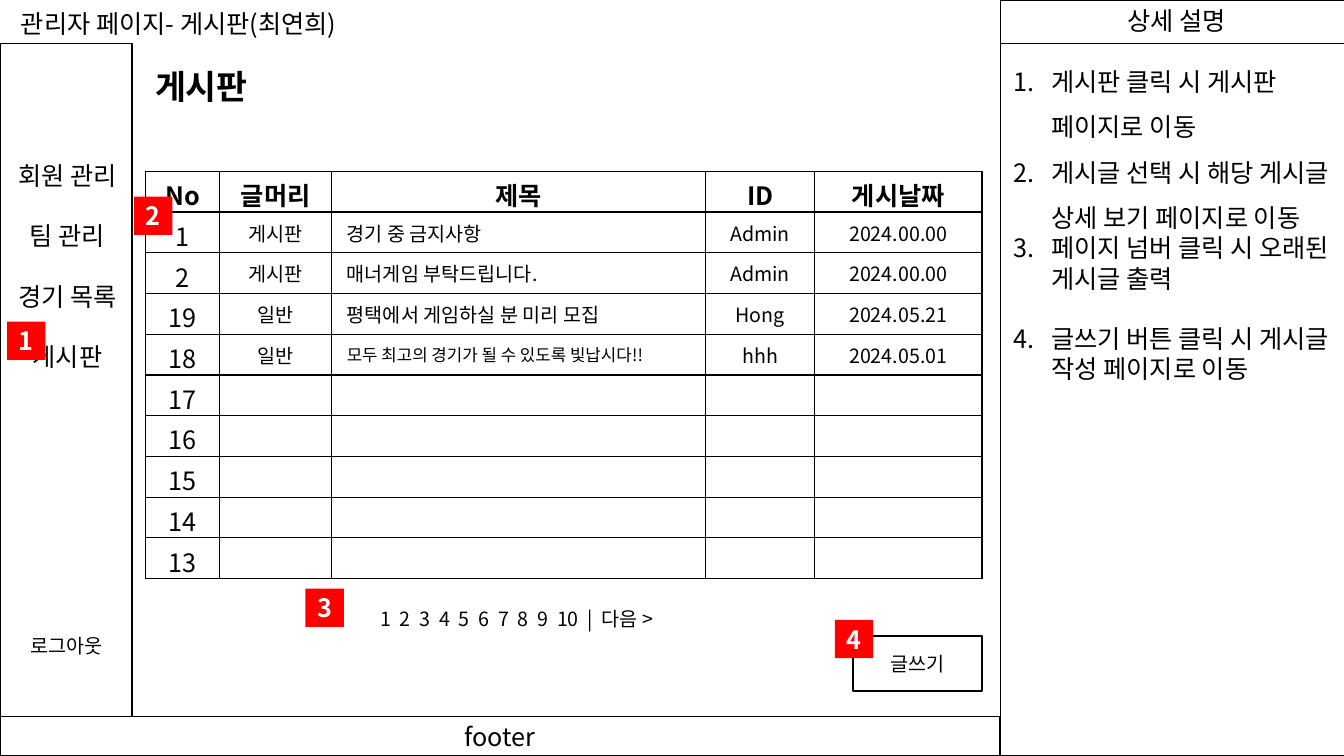
"""Build the wireframe slide of the administrator's bulletin board page."""
from dataclasses import dataclass

import pptx
import pptx.dml.color
import pptx.enum.shapes
import pptx.enum.text
import pptx.oxml.ns
import pptx.util
from lxml import etree

Inches = pptx.util.Inches
Pt = pptx.util.Pt
ALIGN = pptx.enum.text.PP_ALIGN
MIDDLE = pptx.enum.text.MSO_ANCHOR.MIDDLE
FONT = "Noto Sans CJK KR"
BLACK, WHITE, RED = "000000", "FFFFFF", "FF0000"
BADGE_SIZE = 0.38
LINE_GAP = 21.6


@dataclass
class Panel:
    left: float
    top: float
    width: float
    height: float
    text: str = ""
    size: float = 18
    line: float = 1
    fill: str = WHITE
    color: str = BLACK
    bold: bool = False


@dataclass
class Label:
    left: float
    top: float
    width: float
    height: float
    lines: list[str]
    size: float = 18
    bold: bool = False
    align: ALIGN = ALIGN.LEFT
    gap: float = 0


@dataclass
class Note:
    text: str
    spacing: float = 1
    before: float = 0


@dataclass
class Post:
    number: str
    category: str = ""
    title: str = ""
    author: str = ""
    date: str = ""
    title_size: float = 14


FRAMES = [
    Panel(9.92, 0.43, 3.42, 7.07),
    Panel(9.92, 0, 3.42, 0.43),
    Panel(0, 0.43, 1.31, 6.68),
    Panel(0, 7.11, 9.92, 0.39, "footer"),
]
LABELS = [
    Label(11.08, 0, 1.3, 0.4, ["상세 설명"]),
    Label(0.11, 0.03, 4, 0.4, ["관리자 페이지- 게시판(최연희)"]),
    Label(0.2, 6.24, 1.31, 0.34, ["로그아웃"], 14),
    Label(1.44, 0.6, 2.94, 0.5, ["게시판"], 24, True),
    Label(-0.15, 1.54, 1.64, 2.22, ["회원 관리", "팀 관리", "경기 목록", "게시판"],
          align=ALIGN.CENTER, gap=LINE_GAP),
]
NOTES = [
    Note("게시판 클릭 시 게시판 페이지로 이동", 1.5),
    Note("게시글 선택 시 해당 게시글 상세 보기 페이지로 이동", 1.5),
    Note("페이지 넘버 클릭 시 오래된 게시글 출력"),
    Note("글쓰기 버튼 클릭 시 게시글 작성 페이지로 이동", before=LINE_GAP),
]
HEADINGS = ["No", "글머리", "제목", "ID", "게시날짜"]
COLUMN_WIDTHS = [0.74, 1.11, 3.71, 1.08, 1.66]
POSTS = [
    Post("1", "게시판", "경기 중 금지사항", "Admin", "2024.00.00"),
    Post("2", "게시판", "매너게임 부탁드립니다.", "Admin", "2024.00.00"),
    Post("19", "일반", "평택에서 게임하실 분 미리 모집", "Hong", "2024.05.21"),
    Post("18", "일반", "모두 최고의 경기가 될 수 있도록 빛납시다!!", "hhh", "2024.05.01", 12),
    *[Post(str(number)) for number in range(17, 12, -1)],
]
WRITE_BUTTON = Panel(8.46, 6.31, 1.28, 0.55, "글쓰기", 14, 1.5)
PAGER = Panel(2.71, 5.9, 4.83, 0.48, line=0)
PAGER_ITEMS = [*map(str, range(1, 11)), "|", "다음 >"]
BADGE_CORNERS = [(0.07, 3.19), (1.33, 1.95), (3.03, 5.84), (8.28, 6.15)]


def rgb(value: str) -> pptx.dml.color.RGBColor:
    """Turn a hex string into a colour."""
    return pptx.dml.color.RGBColor.from_string(value)


def add_child(parent, tag: str, **attributes: str):
    """Append a DrawingML element to a parent element."""
    return etree.SubElement(parent, pptx.oxml.ns.qn(tag), attributes)


def add_span(para, text: str, size: float, color: str = BLACK, bold: bool = False):
    """Add one formatted run to a paragraph."""
    span = para.add_run()
    span.text = text
    span.font.size = Pt(size)
    span.font.bold = bold
    span.font.color.rgb = rgb(color)
    span.font.name = FONT
    add_child(span.font._element, "a:ea", typeface=FONT)
    return span


def add_panel(page, panel: Panel):
    """Draw a rectangle with optional centred text."""
    box = page.shapes.add_shape(
        pptx.enum.shapes.MSO_SHAPE.RECTANGLE, Inches(panel.left),
        Inches(panel.top), Inches(panel.width), Inches(panel.height))
    box.shadow.inherit = False
    box.fill.solid()
    box.fill.fore_color.rgb = rgb(panel.fill)
    if panel.line:
        box.line.color.rgb = rgb(BLACK)
        box.line.width = Pt(panel.line)
    else:
        box.line.fill.background()
    box.text_frame.vertical_anchor = MIDDLE
    para = box.text_frame.paragraphs[0]
    para.alignment = ALIGN.CENTER
    if panel.text:
        add_span(para, panel.text, panel.size, panel.color, panel.bold)
    return box


def add_text_box(page, left: float, top: float, width: float, height: float):
    """Add a wrapping text box and return its text frame."""
    box = page.shapes.add_textbox(Inches(left), Inches(top), Inches(width), Inches(height))
    box.text_frame.word_wrap = True
    return box.text_frame


def add_label(page, label: Label) -> None:
    """Draw a label with one paragraph per line."""
    frame = add_text_box(page, label.left, label.top, label.width, label.height)
    for index, line in enumerate(label.lines):
        para = frame.add_paragraph() if index else frame.paragraphs[0]
        para.alignment = label.align
        if index:
            para.space_before = Pt(label.gap)
        add_span(para, line, label.size, bold=label.bold)


def add_notes_list(page) -> None:
    """Draw the numbered descriptions in the right column."""
    frame = add_text_box(page, 9.95, 0.46, 3.43, 4.74)
    for index, note in enumerate(NOTES):
        para = frame.add_paragraph() if index else frame.paragraphs[0]
        properties = para._p.get_or_add_pPr()
        properties.set("marL", str(Inches(0.38)))
        properties.set("indent", str(-Inches(0.38)))
        add_child(properties, "a:buFont", typeface="+mj-lt")
        add_child(properties, "a:buAutoNum", type="arabicPeriod")
        para.line_spacing = note.spacing
        if note.before:
            para.space_before = Pt(note.before)
        add_span(para, note.text, 18)


def fill_cell(cell, text: str, size: float, bold: bool, align: ALIGN) -> None:
    """Write one table cell with black borders and a white fill."""
    cell.vertical_anchor = MIDDLE
    properties = cell._tc.get_or_add_tcPr()
    for side in ("a:lnL", "a:lnR", "a:lnT", "a:lnB"):
        border = add_child(properties, side, w=str(Pt(1)))
        add_child(add_child(border, "a:solidFill"), "a:srgbClr", val=BLACK)
    cell.fill.solid()
    cell.fill.fore_color.rgb = rgb(WHITE)
    para = cell.text_frame.paragraphs[0]
    para.alignment = align
    if align == ALIGN.LEFT:
        cell.margin_left = Inches(0.15)
    if text:
        add_span(para, text, size, bold=bold)


def add_board(page) -> None:
    """Draw the table of posts."""
    table = page.shapes.add_table(
        len(POSTS) + 1, len(HEADINGS), Inches(1.44), Inches(1.7),
        Inches(sum(COLUMN_WIDTHS)), Inches(4.04)).table
    table.first_row = table.horz_banding = False
    for column, width in zip(table.columns, COLUMN_WIDTHS):
        column.width = Inches(width)
    for index, heading in enumerate(HEADINGS):
        fill_cell(table.cell(0, index), heading, 18, True, ALIGN.CENTER)
    for row, post in enumerate(POSTS, 1):
        texts = [post.number, post.category, post.title, post.author, post.date]
        sizes = [18, 14, post.title_size, 14, 14]
        for index, (text, size) in enumerate(zip(texts, sizes)):
            align = ALIGN.LEFT if index == 2 else ALIGN.CENTER
            fill_cell(table.cell(row, index), text, size, False, align)


def add_pager(page) -> None:
    """Draw the page numbers with widened gaps between them."""
    para = add_panel(page, PAGER).text_frame.paragraphs[0]
    for index, item in enumerate(PAGER_ITEMS):
        if index:
            add_span(para, " ", 14).font._element.set("spc", "310")
        add_span(para, item, 14)


def main() -> None:
    """Assemble and save the deck."""
    deck = pptx.Presentation()
    deck.slide_width, deck.slide_height = Inches(13.33), Inches(7.5)
    page = deck.slides.add_slide(deck.slide_layouts[6])
    for frame in FRAMES:
        add_panel(page, frame)
    for label in LABELS:
        add_label(page, label)
    add_notes_list(page)
    add_board(page)
    add_panel(page, WRITE_BUTTON)
    add_pager(page)
    for number, (left, top) in enumerate(BADGE_CORNERS, 1):
        add_panel(page, Panel(left, top, BADGE_SIZE, BADGE_SIZE, str(number),
                              line=0, fill=RED, color=WHITE, bold=True))
    deck.save("out.pptx")


if __name__ == "__main__":
    main()
